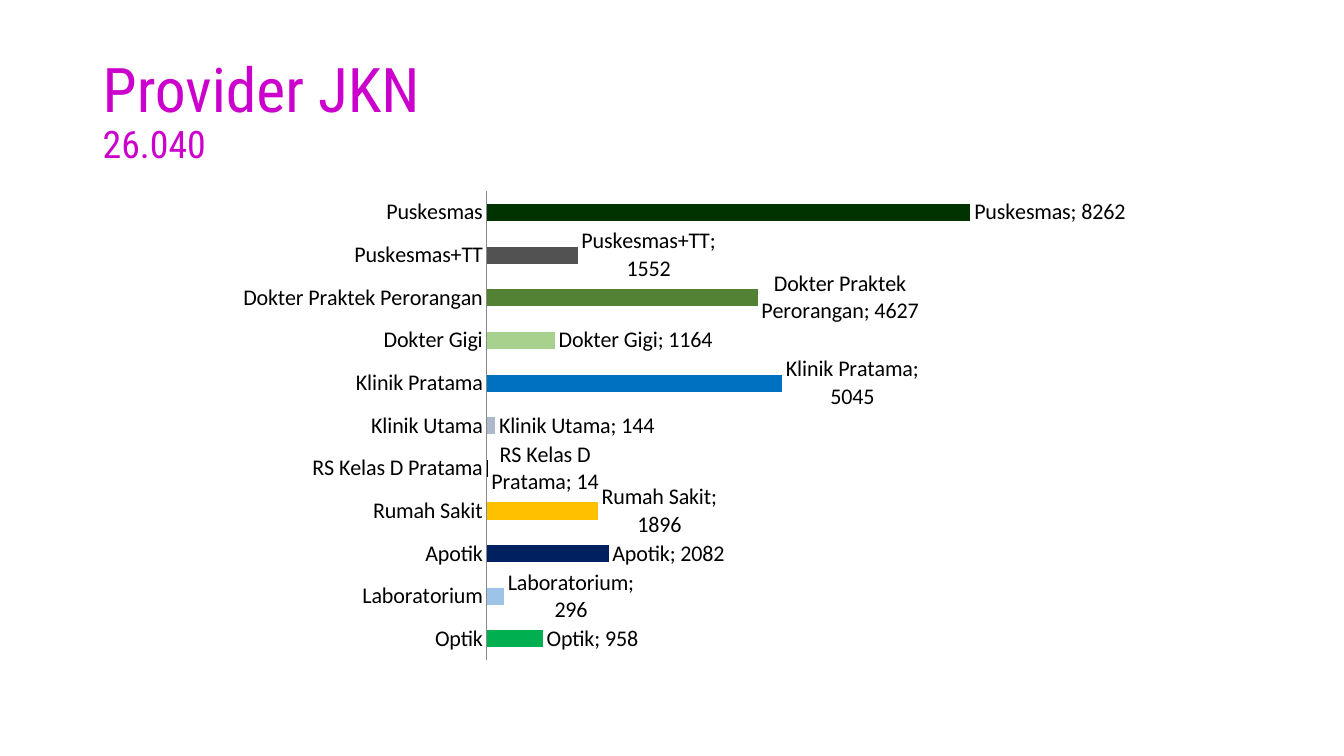
from lxml import etree
from pptx import Presentation
from pptx.chart.data import CategoryChartData
from pptx.dml.color import RGBColor
from pptx.enum.chart import XL_CHART_TYPE, XL_LABEL_POSITION, XL_TICK_MARK
from pptx.enum.text import MSO_ANCHOR
from pptx.oxml.ns import qn
from pptx.util import Inches, Pt

BAR = XL_CHART_TYPE.BAR_CLUSTERED
OUTSIDE_END = XL_LABEL_POSITION.OUTSIDE_END
NO_TICK = XL_TICK_MARK.NONE
MIDDLE = MSO_ANCHOR.MIDDLE

MAGENTA = RGBColor(0xCC, 0x00, 0xCC)
BLACK = RGBColor(0x00, 0x00, 0x00)
AXIS_GRAY = RGBColor(0x89, 0x89, 0x89)
GREEN = RGBColor(0x00, 0xB0, 0x50)
PALE_BLUE = RGBColor(0x9D, 0xC3, 0xE6)
NAVY = RGBColor(0x00, 0x20, 0x60)
GOLD = RGBColor(0xFF, 0xC0, 0x00)
BLUE_GRAY = RGBColor(0xAD, 0xB9, 0xCA)
BLUE = RGBColor(0x00, 0x70, 0xC0)
LIGHT_GREEN = RGBColor(0xA9, 0xD1, 0x8E)
OLIVE = RGBColor(0x54, 0x82, 0x35)
DARK_GRAY = RGBColor(0x52, 0x52, 0x52)
DARK_GREEN = RGBColor(0x00, 0x33, 0x00)

# Bars from bottom to top: category, value, colour
PROVIDERS = [
    ("Optik", 958, GREEN),
    ("Laboratorium", 296, PALE_BLUE),
    ("Apotik", 2082, NAVY),
    ("Rumah Sakit", 1896, GOLD),
    ("RS Kelas D Pratama", 14, BLACK),
    ("Klinik Utama", 144, BLUE_GRAY),
    ("Klinik Pratama", 5045, BLUE),
    ("Dokter Gigi", 1164, LIGHT_GREEN),
    ("Dokter Praktek Perorangan", 4627, OLIVE),
    ("Puskesmas+TT", 1552, DARK_GRAY),
    ("Puskesmas", 8262, DARK_GREEN),
]


def format_font(font, size, color=BLACK, name="Calibri"):
    font.size = Pt(size)
    font.name = name
    font.color.rgb = color


def add_run(p, text, **fmt):
    r = p.add_run()
    r.text = text
    format_font(r.font, **fmt)


def add_title(s, title, total):
    box = s.shapes.add_textbox(Inches(0.92), Inches(0.4), Inches(11.5), Inches(1.45))
    tf = box.text_frame
    tf.word_wrap = True
    tf.vertical_anchor = MIDDLE
    p = tf.paragraphs[0]
    p.line_spacing = 0.9
    add_run(p, title, size=44, color=MAGENTA, name="Roboto Condensed")
    p.add_line_break()
    add_run(p, total, size=27, color=MAGENTA, name="Roboto Condensed")


def set_plot_layout(chart, x, y, w, h):
    """Fix the inner plot area as fractions of the chart."""
    area = chart.plots[0]._element.getparent()
    for old in area.findall(qn("c:layout")):
        area.remove(old)
    layout = etree.Element(qn("c:layout"))
    manual = etree.SubElement(layout, qn("c:manualLayout"))
    settings = [("layoutTarget", "inner"), ("xMode", "edge"), ("yMode", "edge"),
                ("x", x), ("y", y), ("w", w), ("h", h)]
    for tag, val in settings:
        etree.SubElement(manual, qn("c:" + tag)).set("val", str(val))
    area.insert(0, layout)


def add_labels(plot):
    plot.has_data_labels = True
    labels = plot.data_labels
    labels.show_value = True
    labels.show_category_name = True
    labels.position = OUTSIDE_END
    format_font(labels.font, size=16)
    separator = etree.Element(qn("c:separator"))
    separator.text = "; "
    labels._element.find(qn("c:showBubbleSize")).addnext(separator)


def add_provider_chart(s):
    data = CategoryChartData()
    data.categories = [name for name, _, _ in PROVIDERS]
    data.add_series("Series 1", [value for _, value, _ in PROVIDERS])
    frame = s.shapes.add_chart(BAR, Inches(2.17), Inches(1.75), Inches(9),
                               Inches(4.95), data)
    chart = frame.chart
    chart.has_legend = False
    chart.has_title = False
    format_font(chart.font, size=18)
    set_plot_layout(chart, 0.3, 0.03, 0.59, 0.94)

    # Axes
    chart.value_axis.visible = False
    chart.value_axis.has_major_gridlines = False
    axis = chart.category_axis
    axis.major_tick_mark = NO_TICK
    axis.minor_tick_mark = NO_TICK
    axis.format.line.color.rgb = AXIS_GRAY
    format_font(axis.tick_labels.font, size=16)

    # Bars
    plot = chart.plots[0]
    plot.gap_width = 150
    plot.overlap = -25
    plot.vary_by_categories = False
    for i, (_, _, color) in enumerate(PROVIDERS):
        fill = plot.series[0].points[i].format.fill
        fill.solid()
        fill.fore_color.rgb = color
    add_labels(plot)


def main():
    prs = Presentation()
    prs.slide_width = Inches(13.33)
    prs.slide_height = Inches(7.5)
    s = prs.slides.add_slide(prs.slide_layouts[6])
    add_title(s, "Provider JKN", "26.040")
    add_provider_chart(s)
    prs.save("out.pptx")


if __name__ == "__main__":
    main()
